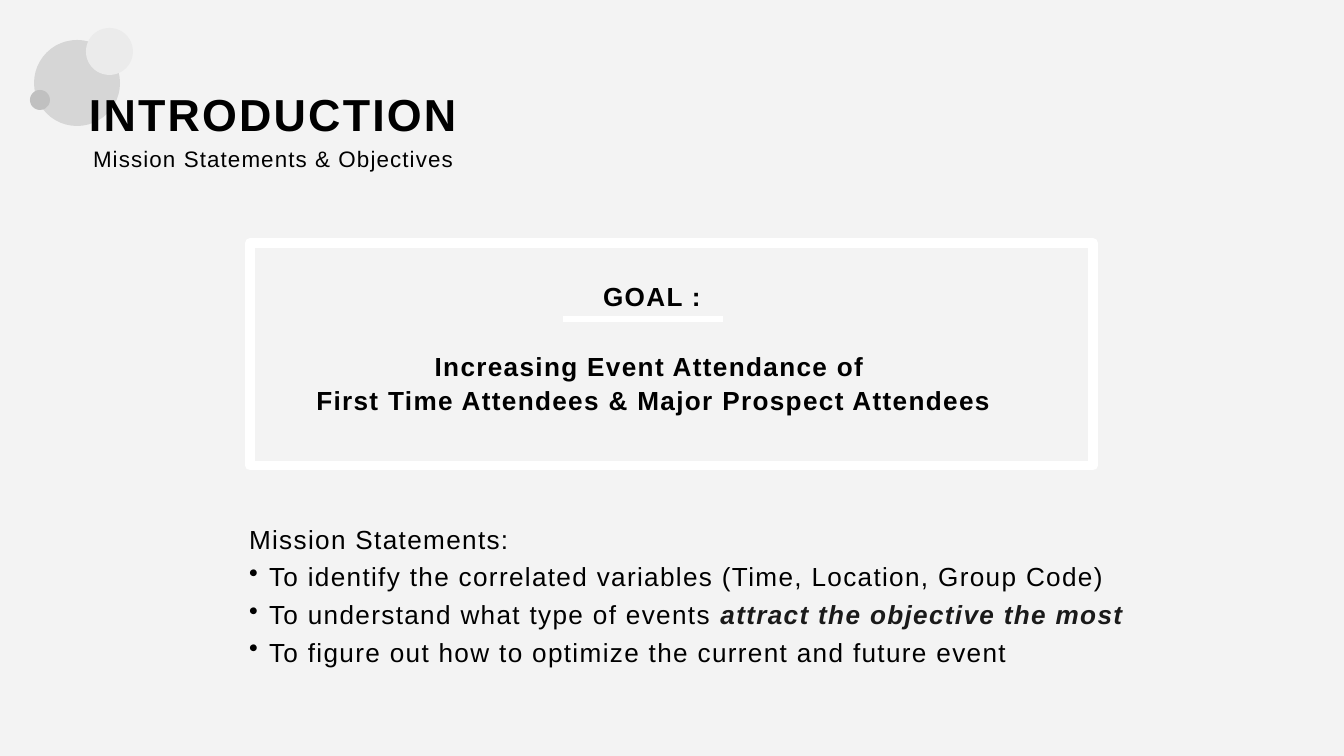
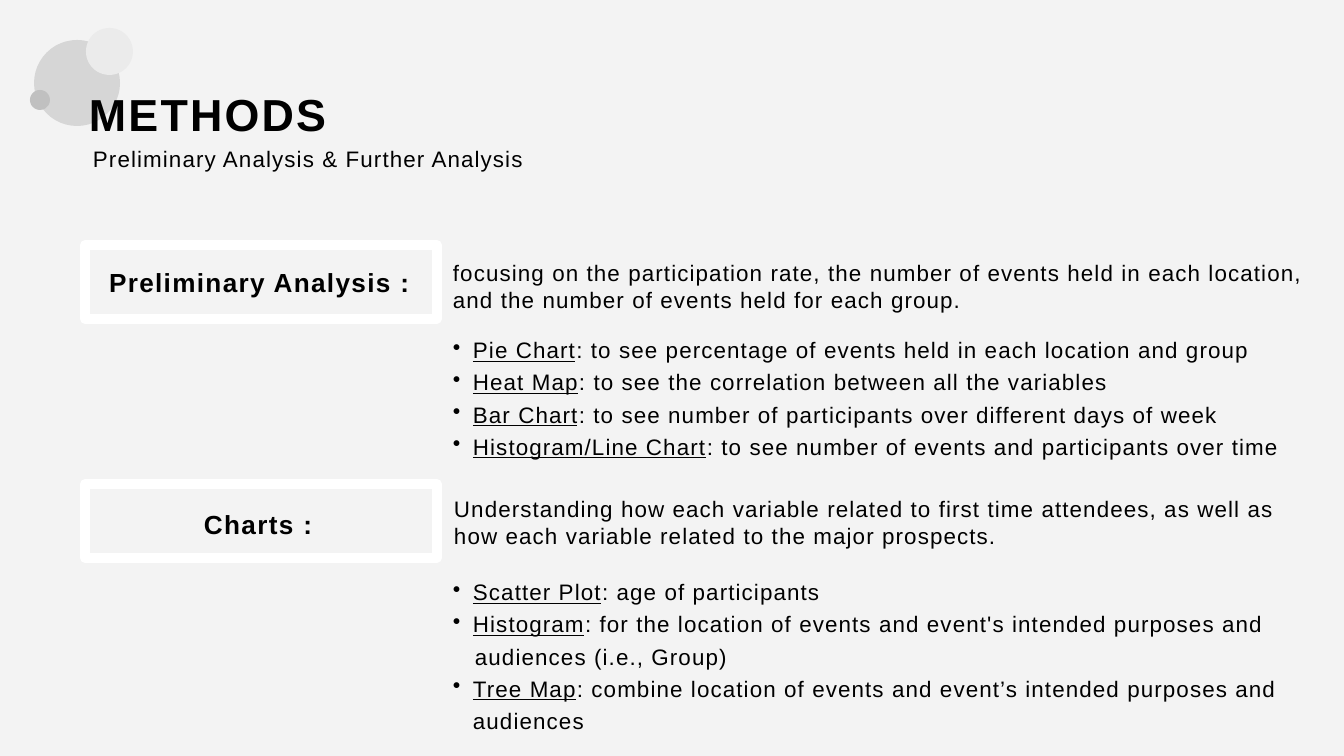
from lxml import etree
from pptx import Presentation
from pptx.dml.color import RGBColor
from pptx.enum.shapes import MSO_CONNECTOR, MSO_SHAPE
from pptx.enum.text import MSO_ANCHOR, MSO_AUTO_SIZE, PP_ALIGN
from pptx.oxml.ns import qn
from pptx.util import Emu, Pt

OVAL, RECT = MSO_SHAPE.OVAL, MSO_SHAPE.RECTANGLE
STRAIGHT = MSO_CONNECTOR.STRAIGHT
LEFT, CENTER = PP_ALIGN.LEFT, PP_ALIGN.CENTER
TOP, MIDDLE = MSO_ANCHOR.TOP, MSO_ANCHOR.MIDDLE
GROW = MSO_AUTO_SIZE.SHAPE_TO_FIT_TEXT

# Shared look
FONT = "Arial"
BACK, WHITE, BLACK, DARK = "F3F3F3", "FFFFFF", "000000", "1A1A1A"
SCALE = 914400 / 134.4
INDENT = 20
DOTS = [(34, 40, 86, "D6D6D6"), (86, 28, 47, "EBEBEB"), (30, 90, 20, "C0C0C0")]


def px(n):
    return Emu(round(n * SCALE))


def color(code):
    return RGBColor.from_string(code)


def add_run(para, text, size, style="", ink=BLACK):
    """Style holds any of b, i and u."""
    run = para.add_run()
    run.text = text
    font = run.font
    font.name, font.size = FONT, Pt(size)
    font.bold, font.italic, font.underline = (k in style for k in "biu")
    font.color.rgb = color(ink)
    # Letter spacing is a twentieth of the text size
    run._r.get_or_add_rPr().set("spc", str(size * 5))


def add_text(slide, box, paras, size, style="", gap=None, align=LEFT,
             anchor=TOP, wrap=False):
    """Each paragraph is a (runs, indent, bullet) triple."""
    frame = slide.shapes.add_textbox(*map(px, box)).text_frame
    frame.margin_left = frame.margin_right = 0
    frame.margin_top = frame.margin_bottom = 0
    frame.word_wrap, frame.auto_size = wrap, GROW
    frame.vertical_anchor = anchor
    for i, (runs, indent, bullet) in enumerate(paras):
        para = frame.add_paragraph() if i else frame.paragraphs[0]
        para.alignment = align
        if gap:
            para.line_spacing = gap
        props = para._p.get_or_add_pPr()
        if indent:
            props.set("marL", str(px(indent)))
        if bullet:
            props.set("indent", str(-px(indent)))
            etree.SubElement(props, qn("a:buChar")).set("char", "•")
        for text, *look in runs:
            add_run(para, text, size, *(look or [style]))


def plain(*lines):
    return [([(line,)], 0, False) for line in lines]


def point(*runs):
    return runs, INDENT, True


def term(name, rest):
    return point((name, "u"), (rest,))


def add_dot(slide, x, y, side, fill):
    dot = slide.shapes.add_shape(OVAL, px(x), px(y), px(side), px(side))
    dot.shadow.inherit = False
    dot.fill.solid()
    dot.fill.fore_color.rgb = color(fill)
    dot.line.fill.background()


def add_frame(slide, *box):
    rect = slide.shapes.add_shape(RECT, *map(px, box))
    rect.shadow.inherit = False
    rect.fill.background()
    rect.line.color.rgb = color(WHITE)
    rect.line.width = Pt(5)


def add_rule(slide, x, y, end):
    rule = slide.shapes.add_connector(STRAIGHT, px(x), px(y), px(end), px(y))
    rule.line.color.rgb = color(WHITE)
    rule.line.width = Pt(3)
    etree.SubElement(rule._element.spPr, qn("a:effectLst"))


def add_slide(deck, title, wide, sub, span):
    """Start a slide with its backdrop, dots, title and subtitle."""
    slide = deck.slides.add_slide(deck.slide_layouts[6])
    slide.background.fill.solid()
    slide.background.fill.fore_color.rgb = color(BACK)
    for dot in DOTS:
        add_dot(slide, *dot)
    add_text(slide, (89, 87, wide, 51), plain(title), 24, "b")
    add_text(slide, (93, 145, span, 26), plain(sub), 12)
    return slide


def add_label(slide, text, x, y, wide):
    add_text(slide, (x, y, wide, 30), plain(text), 14, "b")


def add_intro(deck):
    slide = add_slide(deck, "INTRODUCTION", 372,
                      "Mission Statements & Objectives", 364)
    # Mission list
    mission = plain("Mission Statements:") + [
        point(("To identify the correlated variables "
               "(Time, Location, Group Code)",)),
        point(("To understand what type of events ",),
              ("attract the objective the most", "bi", DARK)),
        point(("To figure out how to optimize the current and future event",)),
    ]
    add_text(slide, (249, 517, 876, 136), mission, 14, gap=1.2)
    # Goal panel
    goal = plain("Increasing Event Attendance of ",
                 "First Time Attendees & Major Prospect Attendees")
    add_text(slide, (316, 347, 675, 62), goal, 14, "b", 1.1, CENTER)
    add_label(slide, "GOAL :", 603, 280, 101)
    add_rule(slide, 563, 319, 723)
    add_frame(slide, 250, 243, 843, 223)


def add_methods(deck):
    slide = add_slide(deck, "METHODS", 242,
                      "Preliminary Analysis & Further Analysis", 434)
    # Framed labels
    add_label(slide, "Preliminary Analysis :", 109, 266, 302)
    add_label(slide, "Charts :", 204, 508, 112)
    for y in (245, 484):
        add_frame(slide, 85, y, 352, 74)
    # Summaries
    focus = plain("focusing on the participation rate, the number of events "
                  "held in each location,",
                  "and the number of events held for each group.")
    add_text(slide, (453, 261, 861, 51), focus, 12, anchor=MIDDLE)
    aim = plain("Understanding how each variable related to first time "
                "attendees, as well as how each variable related to the "
                "major prospects.")
    add_text(slide, (454, 497, 860, 51), aim, 12, anchor=MIDDLE, wrap=True)
    # Chart lists
    first = [
        term("Pie Chart", ": to see percentage of events held in each "
             "location and group"),
        term("Heat Map", ": to see the correlation between all the variables"),
        term("Bar Chart", ": to see number of participants over different "
             "days of week"),
        term("Histogram/Line Chart", ": to see number of events and "
             "participants over time"),
    ]
    later = [
        term("Scatter Plot", ": age of participants"),
        term("Histogram", ": for the location of events and event's "
             "intended purposes and"),
        ([("audiences (i.e., Group)",)], INDENT + 2, False),
        term("Tree Map", ": combine location of events and event’s "
             "intended purposes and audiences"),
    ]
    for y, high, items in ((331, 120, first), (573, 151, later)):
        add_text(slide, (453, y, 861, high), items, 12, gap=1.2, wrap=True)


def main():
    deck = Presentation()
    deck.slide_width, deck.slide_height = px(1344), px(756)
    add_intro(deck)
    add_methods(deck)
    deck.save("out.pptx")


if __name__ == "__main__":
    main()
